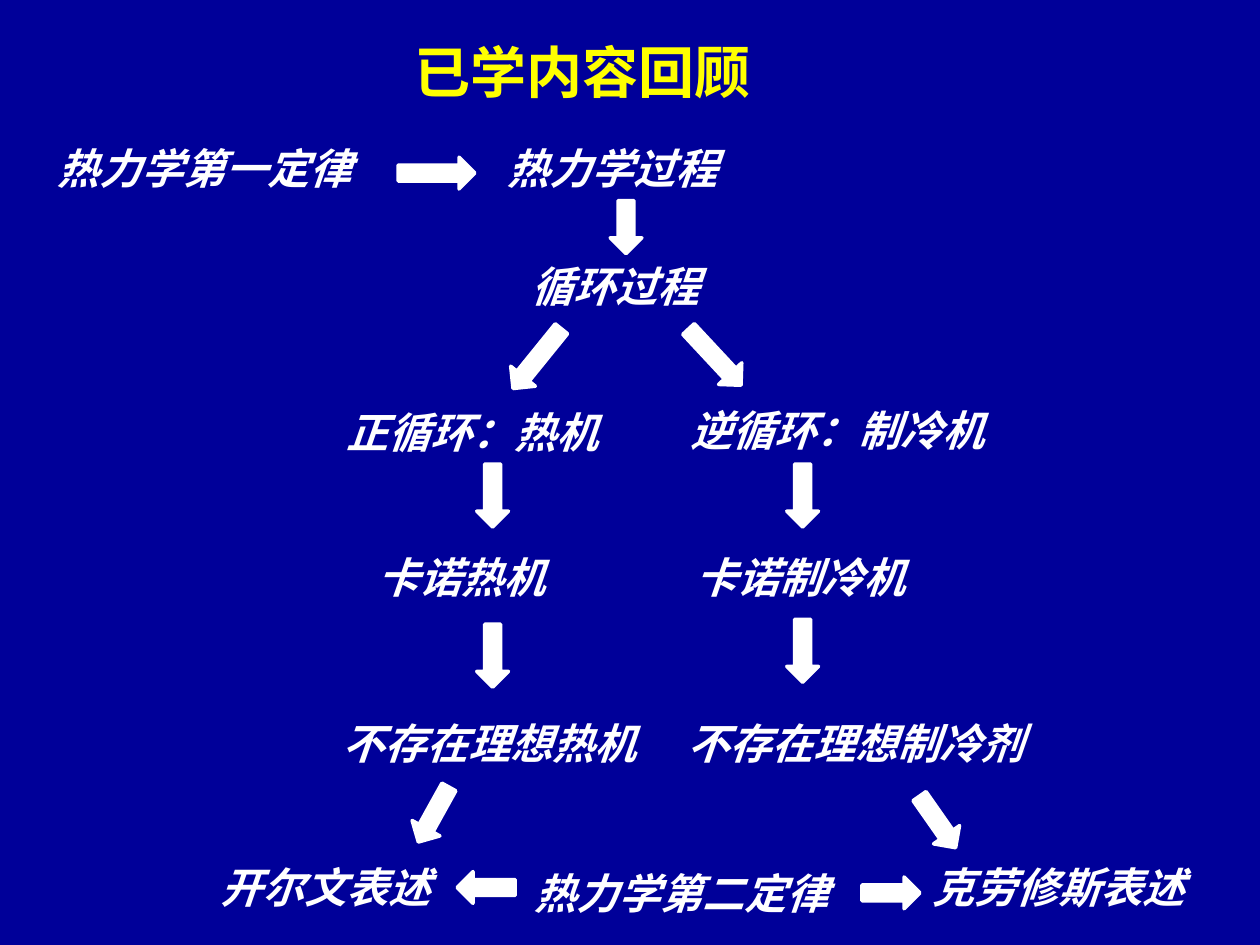
from pptx import Presentation
from pptx.dml.color import RGBColor
from pptx.enum.shapes import MSO_SHAPE as SHAPE
from pptx.enum.text import MSO_AUTO_SIZE as FIT, PP_ALIGN as ALIGN
from pptx.oxml import parse_xml
from pptx.oxml.ns import nsdecls
from pptx.util import Cm, Pt

C = {"bg": "000099", "title": "FFFF00", "main": "FFFFFF"}

prs = Presentation()
prs.slide_width, prs.slide_height = Cm(25.4), Cm(19.05)
s = prs.slides.add_slide(prs.slide_layouts[6])
s.background.fill.solid()
s.background.fill.fore_color.rgb = RGBColor.from_string(C["bg"])


def add_text(text, x, y, w, h, size, font, color, wrap=False, italic=None):
    tf = s.shapes.add_textbox(Cm(x), Cm(y), Cm(w), Cm(h)).text_frame
    tf.word_wrap = wrap
    tf.auto_size = FIT.SHAPE_TO_FIT_TEXT
    p = tf.paragraphs[0]
    r = p.add_run()
    r.text = text
    r.font.size = Pt(size)
    r.font.bold = True
    r.font.italic = italic
    r.font.name = font
    r.font.color.rgb = RGBColor.from_string(color)
    return p, r


# Title, with its East Asian font
p, r = add_text("已学内容回顾", 6.2, 0.64, 11.1, 1.63, 32,
                "Noto Sans CJK SC", C["title"], wrap=True)
p.alignment = ALIGN.CENTER
r.font._element.append(
    parse_xml(f'<a:ea {nsdecls("a")} typeface="Noto Sans CJK SC"/>'))

# Topics: text, left, top; the width follows the number of characters
topics = [
    ("热力学第一定律", 0.91, 2.74),
    ("热力学过程", 9.98, 2.74),
    ("循环过程", 10.46, 5.13),
    ("正循环：热机", 6.73, 8.08),
    ("逆循环：制冷机", 13.67, 8.03),
    ("卡诺热机", 7.37, 11),
    ("卡诺制冷机", 13.77, 11),
    ("不存在理想热机", 6.65, 14.33),
    ("不存在理想制冷剂", 13.61, 14.33),
    ("开尔文表述", 4.19, 17.25),
    ("热力学第二定律", 10.52, 17.37),
    ("克劳修斯表述", 18.54, 17.25),
]
for text, x, y in topics:
    add_text(text, x, y, 0.86 * len(text) + 0.52, 1.27, 24,
             "Times New Roman", C["main"], italic=True)

# Block arrows: centre x, centre y, length, rotation
ARROW_H = 0.64
arrows = [
    (8.8, 3.49, 1.55, 0),
    (12.62, 4.58, 1.07, 90),
    (10.83, 7.23, 1.55, 129),
    (14.41, 7.2, 1.55, 47),
    (9.93, 9.99, 1.27, 90),
    (16.18, 9.99, 1.27, 90),
    (9.93, 13.22, 1.27, 90),
    (16.18, 13.12, 1.27, 90),
    (8.74, 16.42, 1.27, 119),
    (18.9, 16.57, 1.27, 55),
    (9.8, 17.89, 1.17, 180),
    (17.96, 18, 1.17, 0),
]
for cx, cy, length, angle in arrows:
    sp = s.shapes.add_shape(SHAPE.RIGHT_ARROW, Cm(cx - length / 2),
                            Cm(cy - ARROW_H / 2), Cm(length), Cm(ARROW_H))
    sp.rotation = angle
    sp.shadow.inherit = False
    sp.fill.solid()
    sp.fill.fore_color.rgb = RGBColor.from_string(C["main"])
    sp.line.color.rgb = RGBColor.from_string(C["main"])
    sp.line.width = Pt(2)

prs.save("out.pptx")
